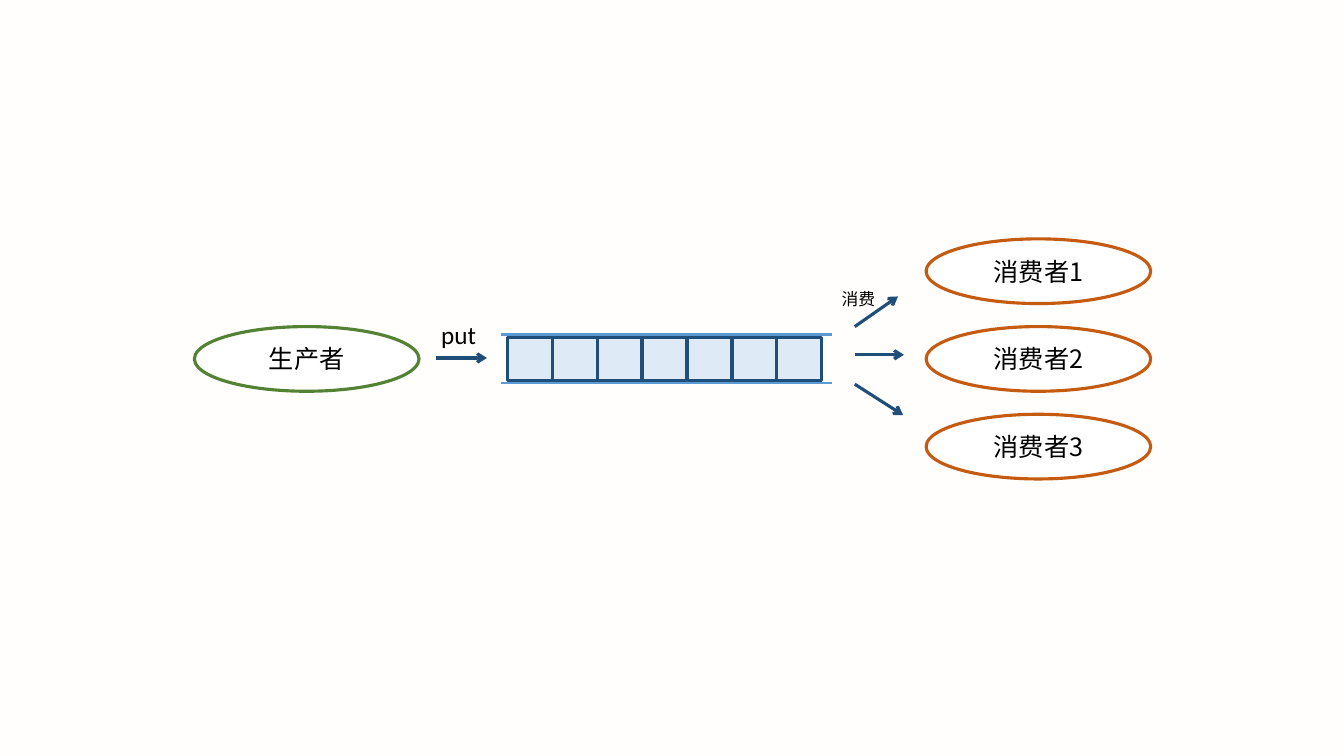
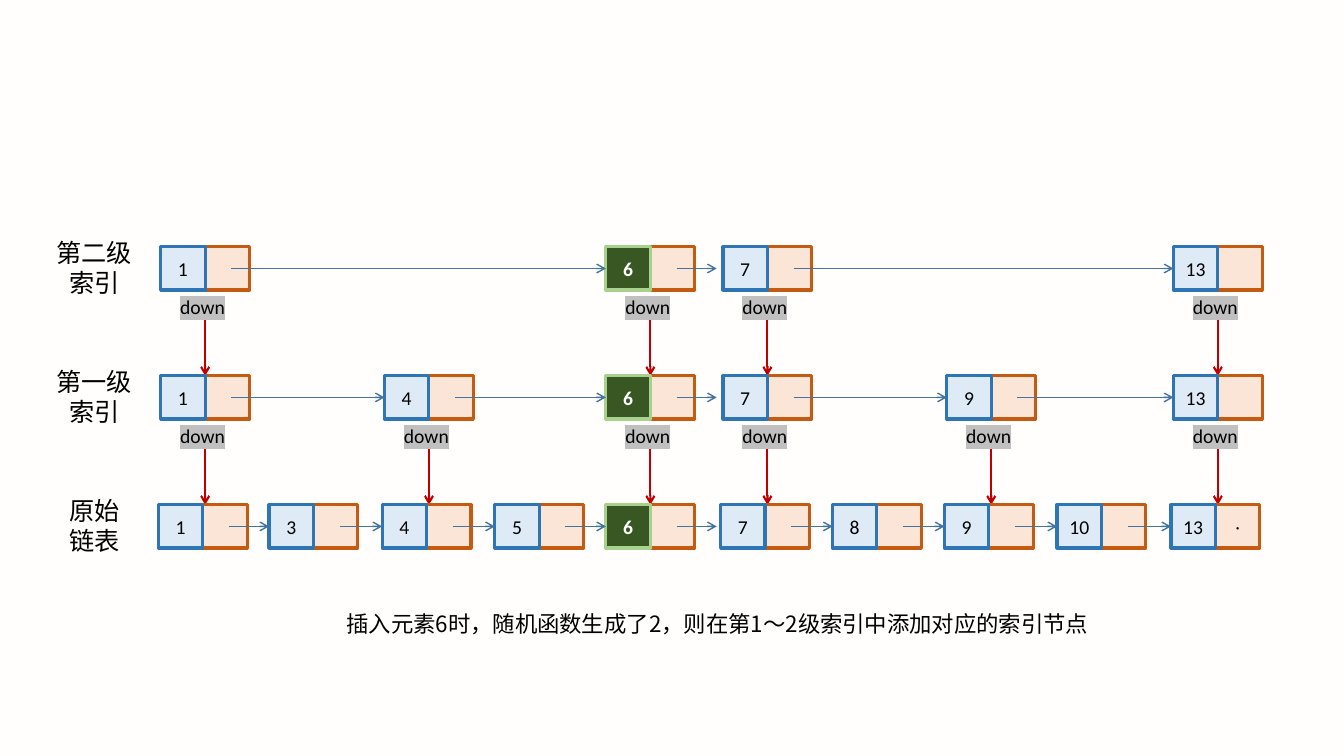
from itertools import pairwise

from lxml.etree import SubElement
from pptx import Presentation
from pptx.dml.color import RGBColor
from pptx.enum.shapes import MSO_CONNECTOR, MSO_SHAPE
from pptx.enum.text import MSO_ANCHOR, PP_ALIGN
from pptx.oxml.ns import qn
from pptx.util import Cm, Pt

BACKGROUND = "FFFEFD"
BLACK = "000000"
WHITE = "FFFFFF"
NAVY = "1F4E79"
PALE_BLUE = "DEEBF7"
BLUE = "2E75B6"
RAIL_BLUE = "5B9BD5"
LINK_BLUE = "43739E"
PALE_ORANGE = "FBE5D6"
ORANGE = "C55A11"
GREEN = "548235"
DARK_GREEN = "385723"
LIGHT_GREEN = "A9D18E"
RED = "C00000"
GRAY = "C0C0C0"

CJK = "Noto Sans CJK SC"
LATIN = "Calibri"
HEADING = {"name": CJK, "size": Pt(18)}
CAPTION = {"name": CJK, "size": Pt(16)}
NOTE = {"name": CJK, "size": Pt(12)}
PUT = {"name": LATIN, "size": Pt(18)}
KEY = {"name": LATIN, "size": Pt(14)}
NEW_KEY = {**KEY, "bold": True}
END_MARK = {"name": LATIN, "size": Pt(12)}

CELL_W, CELL_H = 1.12, 1.09
COLUMNS = {"1": 3.99, "3": 6.78, "4": 9.63, "5": 12.47, "6": 15.27,
           "7": 18.16, "8": 20.98, "9": 23.8, "10": 26.64, "13": 29.51}
INDEX_SHIFT = 0.06
NEW_ELEMENT = "6"
ROW_TOP, ROW_STEP = 6.22, 3.25
LEVELS = [
    (("第二级", "索引"), ["1", "6", "7", "13"]),
    (("第一级", "索引"), ["1", "4", "6", "7", "9", "13"]),
    (("原始", "链表"), list(COLUMNS)),
]


def rgb(value):
    return RGBColor.from_string(value)


def add_text(tf, lines, fmt, color=BLACK, align=PP_ALIGN.LEFT, highlight=None):
    for i, line in enumerate(lines):
        p = tf.add_paragraph() if i else tf.paragraphs[0]
        p.alignment = align
        r = p.add_run()
        r.text = line
        for name, value in fmt.items():
            setattr(r.font, name, value)
        r.font.color.rgb = rgb(color)
        rPr = r.font._element
        if highlight:
            mark = SubElement(rPr, qn("a:highlight"))
            SubElement(mark, qn("a:srgbClr"), val=highlight)
            rPr.find(qn("a:solidFill")).addnext(mark)
        if fmt["name"] == CJK:
            SubElement(rPr, qn("a:ea"), typeface=CJK)


def add_label(s, box, lines, fmt, wrap=False, **style):
    tf = s.shapes.add_textbox(*map(Cm, box)).text_frame
    tf.word_wrap = wrap
    add_text(tf, lines, fmt, **style)


def add_box(s, kind, box, fill, line, text=None, fmt=KEY, color=BLACK):
    sp = s.shapes.add_shape(kind, *map(Cm, box))
    sp.shadow.inherit = False
    sp.fill.solid()
    sp.fill.fore_color.rgb = rgb(fill)
    sp.line.color.rgb = rgb(line)
    sp.line.width = Pt(2.25)
    if text:
        sp.text_frame.vertical_anchor = MSO_ANCHOR.MIDDLE
        add_text(sp.text_frame, [text], fmt, color, PP_ALIGN.CENTER)
    return sp


def add_line(s, start, end, color, width, arrow=True):
    cn = s.shapes.add_connector(MSO_CONNECTOR.STRAIGHT, *map(Cm, start + end))
    cn.line.color.rgb = rgb(color)
    cn.line.width = Pt(width)
    spPr = cn._element.spPr
    if arrow:
        SubElement(spPr.find(qn("a:ln")), qn("a:tailEnd"), type="arrow")
    SubElement(spPr, qn("a:effectLst"))
    return cn


def add_slide(prs):
    s = prs.slides.add_slide(prs.slide_layouts[6])
    s.background.fill.solid()
    s.background.fill.fore_color.rgb = rgb(BACKGROUND)
    return s


def add_role(s, left, top, name, line):
    add_box(s, MSO_SHAPE.OVAL, (left, top, 5.66, 1.63), WHITE, line, name, HEADING)


def add_node(s, key, left, top, end_mark=None):
    add_box(s, MSO_SHAPE.RECTANGLE, (left + CELL_W, top, CELL_W, CELL_H),
            PALE_ORANGE, ORANGE, end_mark, END_MARK)
    look = (PALE_BLUE, BLUE, key)
    if key == NEW_ELEMENT:
        look = (DARK_GREEN, LIGHT_GREEN, key, NEW_KEY, WHITE)
    return add_box(s, MSO_SHAPE.RECTANGLE, (left, top, CELL_W, CELL_H), *look)


def add_level(s, top, title, keys, is_base):
    add_label(s, (1.17, top - 0.36, 2.41, 1.8), title, HEADING, align=PP_ALIGN.CENTER)
    lefts = {k: COLUMNS[k] + (0 if is_base or k == NEW_ELEMENT else INDEX_SHIFT)
             for k in keys}
    nodes = {k: add_node(s, k, left, top, "·" if is_base and k == keys[-1] else None)
             for k, left in lefts.items()}
    mid = top + CELL_H / 2
    for key, following in pairwise(keys):
        end = COLUMNS[following] - 0.1
        cn = add_line(s, (lefts[key] + 1.78, mid), (end, mid), LINK_BLUE, 1)
        if key != NEW_ELEMENT:
            cn.end_connect(nodes[following], 1)
    if not is_base:
        for left in lefts.values():
            add_down(s, left + CELL_W, top)


def add_down(s, x, top):
    add_line(s, (x, top + 1.68), (x, top + ROW_STEP), RED, 1.5)
    add_label(s, (x - 0.88, top + CELL_H, 1.73, 0.86), ["down"], KEY, highlight=GRAY)


def build_queue(prs):
    s = add_slide(prs)
    for y in (8.43, 9.65):
        add_line(s, (12.62, y), (20.96, y), RAIL_BLUE, 1.75, arrow=False)
    for i in range(7):
        add_box(s, MSO_SHAPE.RECTANGLE, (12.8 + 1.13 * i, 8.51, CELL_W, CELL_H),
                PALE_BLUE, NAVY)
    for i in range(3):
        add_role(s, 23.34, 6.02 + 2.21 * i, f"消费者{i + 1}", ORANGE)
    add_role(s, 4.9, 8.23, "生产者", GREEN)
    for start, end in [((11, 9.02), (12.27, 9.02)),
                       ((21.54, 8.94), (22.78, 8.94)),
                       ((21.54, 8.23), (22.63, 7.47)),
                       ((21.54, 9.68), (22.76, 10.46))]:
        add_line(s, start, end, NAVY, 2.25)
    add_label(s, (10.87, 7.92, 1.45, 1.02), ["put"], PUT)
    add_label(s, (20.96, 7.16, 1.35, 0.76), ["消费"], NOTE)


def build_skip_list(prs):
    s = add_slide(prs)
    for i, (title, keys) in enumerate(LEVELS):
        add_level(s, ROW_TOP + ROW_STEP * i, title, keys, i == len(LEVELS) - 1)
    add_label(s, (8.48, 15.24, 19.25, 0.94),
              ["插入元素6时，随机函数生成了2，则在第1～2级索引中添加对应的索引节点"],
              CAPTION, wrap=True)


def main():
    prs = Presentation()
    prs.slide_width, prs.slide_height = Cm(33.87), Cm(19.05)
    build_queue(prs)
    build_skip_list(prs)
    prs.save("out.pptx")


if __name__ == "__main__":
    main()
